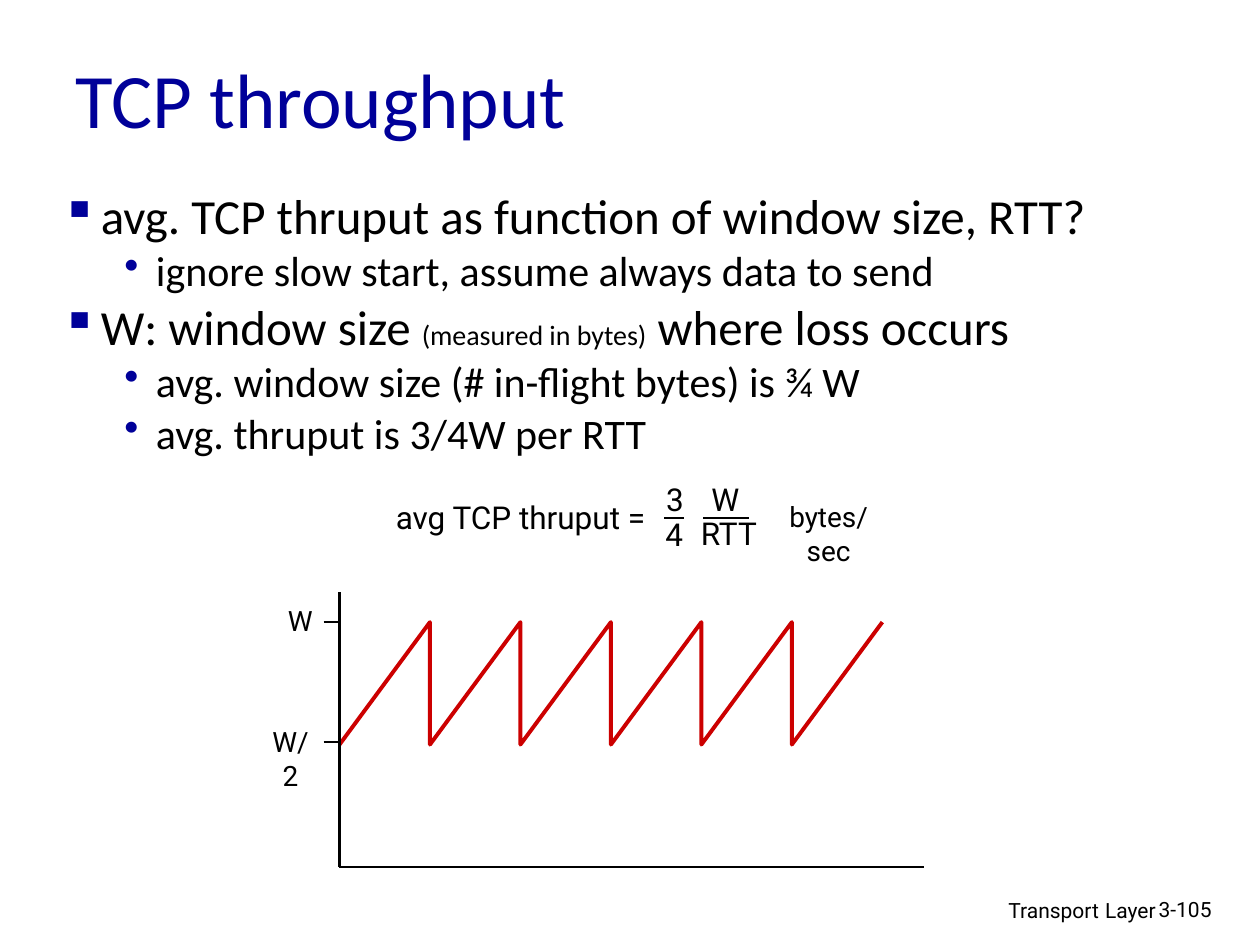
from dataclasses import dataclass
from typing import Any, NamedTuple

import lxml.etree
import pptx
import pptx.dml.color
import pptx.enum.shapes
import pptx.enum.text
import pptx.oxml.ns
import pptx.util

Pt = pptx.util.Pt
Align = pptx.enum.text.PP_ALIGN
Anchor = pptx.enum.text.MSO_ANCHOR
qn = pptx.oxml.ns.qn


@dataclass(frozen=True)
class Theme:
    navy: str = "000099"
    black: str = "000000"
    red: str = "CC0000"
    heading_face: str = "Calibri"
    label_face: str = "Roboto"
    title: float = 44
    bullet: float = 28
    sub_bullet: float = 24
    formula: float = 18
    small: float = 16
    footer_gap: float = 14
    footer: float = 12
    axis_width: float = 1.5
    curve_width: float = 2.25


THEME = Theme()


class Box(NamedTuple):
    left: float
    top: float
    width: float
    height: float


class Span(NamedTuple):
    text: str
    size: float


class Label(NamedTuple):
    box: Box
    text: str
    size: float
    wrap: bool = False


class Line(NamedTuple):
    x1: float
    y1: float
    x2: float
    y2: float


class Level(NamedTuple):
    depth: int
    size: float
    mark: str
    margin: float
    indent: float


class Bullet(NamedTuple):
    level: Level
    spans: list[Span]


MAIN = Level(0, THEME.bullet, "▪", 22.5, -22.5)
SUB = Level(1, THEME.sub_bullet, "•", 54, -18)

BULLETS = [
    Bullet(MAIN, [Span("avg. TCP thruput as function of window size, RTT?", MAIN.size)]),
    Bullet(SUB, [Span("ignore slow start, assume always data to send", SUB.size)]),
    Bullet(MAIN, [
        Span("W: window size ", MAIN.size),
        Span("(measured in bytes)", THEME.small),
        Span(" where loss occurs", MAIN.size),
    ]),
    Bullet(SUB, [Span("avg. window size (# in-flight bytes) is ¾ W", SUB.size)]),
    Bullet(SUB, [Span("avg. thruput is 3/4W per RTT", SUB.size)]),
]

AXIS_X, AXIS_TOP, AXIS_Y, AXIS_RIGHT = 194, 338.5, 495.5, 528
PEAK_Y, TROUGH_Y = 355.5, 425.5
TOOTH_COUNT, TOOTH_WIDTH = 6, 51.7
FRACTION_Y = 296

LABELS = [
    Label(Box(157, 341.5, 29, 26.5), "W", THEME.small),
    Label(Box(145.5, 410.5, 41, 26.5), "W/2", THEME.small, wrap=True),
    Label(Box(215.5, 281, 168.5, 29), "avg TCP thruput = ", THEME.formula),
    Label(Box(373.5, 271, 24.5, 29), "3", THEME.formula),
    Label(Box(373, 291, 24.5, 29), "4", THEME.formula),
    Label(Box(399, 271, 31, 29), "W", THEME.formula),
    Label(Box(393, 290, 47, 29), "RTT", THEME.formula),
    Label(Box(433, 282, 81, 26.5), "bytes/sec", THEME.small, wrap=True),
]

LINES = [
    Line(AXIS_X, AXIS_Y, AXIS_RIGHT, AXIS_Y),
    Line(AXIS_X, AXIS_TOP, AXIS_X, AXIS_Y),
    Line(AXIS_X - 9, PEAK_Y, AXIS_X, PEAK_Y),
    Line(AXIS_X - 9, 424, AXIS_X, 424),
    Line(379.5, FRACTION_Y, 391, FRACTION_Y),
    Line(402, FRACTION_Y, 428, FRACTION_Y),
]


def rgb(value: str) -> Any:
    return pptx.dml.color.RGBColor.from_string(value)


def add_spans(para: Any, spans: list[Span], *, face: str, color: str) -> None:
    for part in spans:
        span = para.add_run()
        span.text = part.text
        span.font.size = Pt(part.size)
        span.font.name = face
        span.font.color.rgb = rgb(color)


def add_frame(page: Any, box: Box, *, wrap: bool = True, anchor: Any = Anchor.TOP) -> Any:
    frame = page.shapes.add_textbox(*map(Pt, box)).text_frame
    frame.word_wrap = wrap
    frame.vertical_anchor = anchor
    return frame


def add_text(page: Any, box: Box, *spans: Span, face: str = THEME.label_face,
             color: str = THEME.black, align: Any = Align.LEFT,
             wrap: bool = True, anchor: Any = Anchor.TOP) -> None:
    para = add_frame(page, box, wrap=wrap, anchor=anchor).paragraphs[0]
    para.alignment = align
    add_spans(para, list(spans), face=face, color=color)


def add_bullets(page: Any, box: Box, bullets: list[Bullet]) -> None:
    frame = add_frame(page, box)
    for index, bullet in enumerate(bullets):
        para = frame.add_paragraph() if index else frame.paragraphs[0]
        level = bullet.level
        para.level = level.depth
        para.line_spacing = 0.85
        para.space_before = Pt(0.2 * level.size if index else 0)
        properties = para._p.get_or_add_pPr()
        properties.set("marL", str(Pt(level.margin)))
        properties.set("indent", str(Pt(level.indent)))
        tint = lxml.etree.SubElement(properties, qn("a:buClr"))
        lxml.etree.SubElement(tint, qn("a:srgbClr"), val=THEME.navy)
        lxml.etree.SubElement(properties, qn("a:buChar"), char=level.mark)
        add_spans(para, bullet.spans, face=THEME.heading_face, color=THEME.black)


def add_line(page: Any, line: Line) -> None:
    connector = page.shapes.add_connector(
        pptx.enum.shapes.MSO_CONNECTOR.STRAIGHT, *map(Pt, line))
    connector.line.color.rgb = rgb(THEME.black)
    connector.line.width = Pt(THEME.axis_width)
    lxml.etree.SubElement(connector._element.spPr, qn("a:effectLst"))


def add_sawtooth(page: Any) -> None:
    points = []
    for tooth in range(1, TOOTH_COUNT + 1):
        x = Pt(AXIS_X + tooth * TOOTH_WIDTH)
        points += [(x, Pt(PEAK_Y)), (x, Pt(TROUGH_Y))]
    builder = page.shapes.build_freeform(Pt(AXIS_X), Pt(TROUGH_Y))
    builder.add_line_segments(points[:-1], close=False)
    curve = builder.convert_to_shape()
    curve.shadow.inherit = False
    curve.fill.background()
    curve.line.color.rgb = rgb(THEME.red)
    curve.line.width = Pt(THEME.curve_width)


def main() -> None:
    deck = pptx.Presentation()
    deck.slide_width, deck.slide_height = Pt(720), Pt(540)
    page = deck.slides.add_slide(deck.slide_layouts[6])
    add_text(page, Box(439, 507.5, 228.5, 22.5), Span("Transport", THEME.footer),
             Span(" ", THEME.footer_gap), Span("Layer", THEME.footer), align=Align.RIGHT)
    add_text(page, Box(655, 509, 53.5, 21.5), Span("3-105", THEME.footer))
    add_text(page, Box(36, 19, 612, 73.5), Span("TCP throughput", THEME.title),
             face=THEME.heading_face, color=THEME.navy, anchor=Anchor.MIDDLE)
    add_bullets(page, Box(28, 107.5, 680.5, 366), BULLETS)
    add_sawtooth(page)
    for line in LINES:
        add_line(page, line)
    for label in LABELS:
        add_text(page, label.box, Span(label.text, label.size),
                 align=Align.CENTER, wrap=label.wrap)
    deck.save("out.pptx")


if __name__ == "__main__":
    main()
